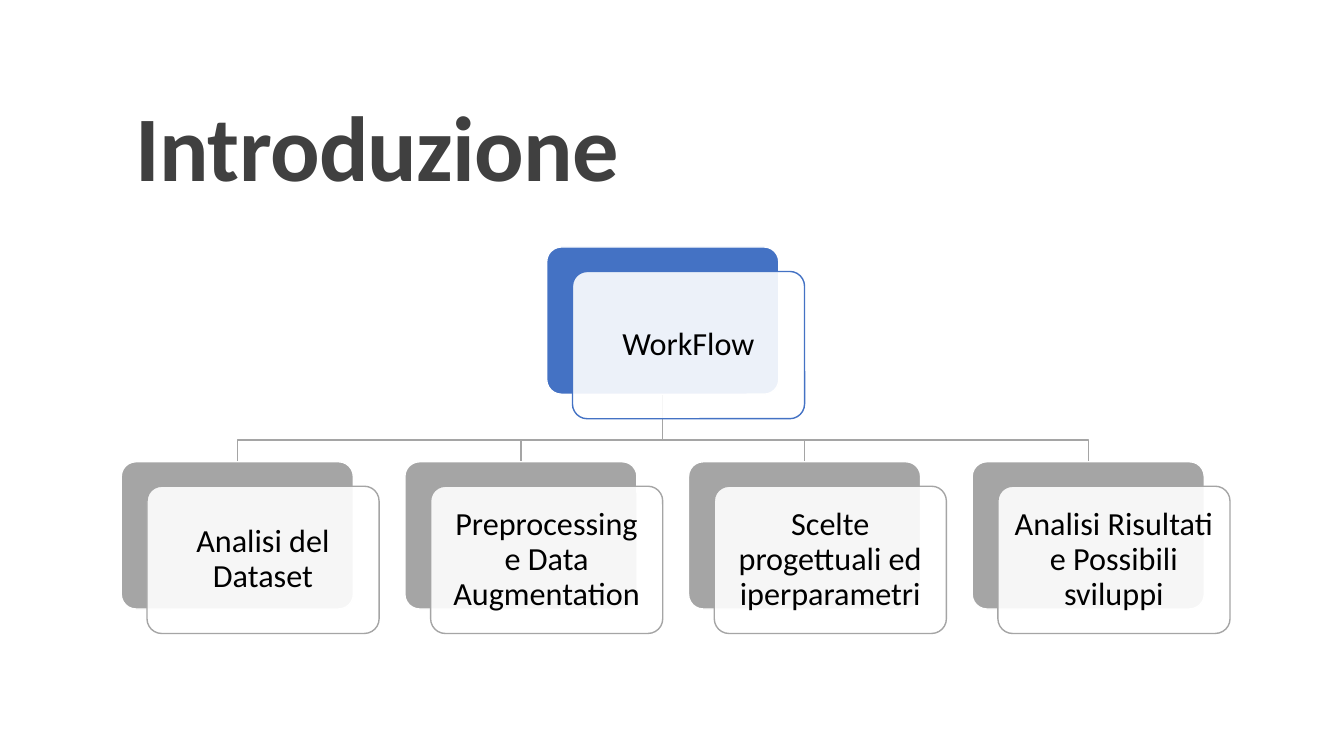
from dataclasses import dataclass

from lxml import etree
from pptx import Presentation
from pptx import util as u
from pptx.dml.color import RGBColor
from pptx.enum import shapes, text
from pptx.oxml.ns import qn


@dataclass(frozen=True)
class Theme:
    """Colours, font and type sizes of the slide."""
    root: str = "4472C4"
    step: str = "A5A5A5"
    paper: str = "FFFFFF"
    heading: str = "404040"
    ink: str = "000000"
    font: str = "Calibri"
    heading_size: int = 66
    card_size: int = 23
    line_width: int = 1


class Board:
    """Draws the elements of the chart on one slide, in points."""

    def __init__(self, slide, theme):
        self.shapes = slide.shapes
        self.theme = theme

    def set_words(self, frame, words, size, color, spacing, bold=False):
        frame.word_wrap = True
        line = frame.paragraphs[0]
        run = line.add_run()
        run.text = words
        line.line_spacing = spacing
        line.font.name = self.theme.font
        line.font.size = u.Pt(size)
        line.font.bold = bold
        line.font.color.rgb = RGBColor.from_string(color)
        return line, run

    def title(self, words, left, top, width, height):
        frame = self.shapes.add_textbox(*map(u.Pt, (left, top, width, height))).text_frame
        frame.vertical_anchor = text.MSO_ANCHOR.BOTTOM
        _, run = self.set_words(frame, words, self.theme.heading_size, self.theme.heading, 0.85, True)
        run._r.get_or_add_rPr().set("spc", "-50")

    def outline(self, shape, color):
        shape.shadow.inherit = False
        shape.line.color.rgb = RGBColor.from_string(color)
        shape.line.width = u.Pt(self.theme.line_width)

    def panel(self, left, top, fill, line):
        panel = self.shapes.add_shape(
            shapes.MSO_SHAPE.ROUNDED_RECTANGLE,
            *map(u.Pt, (left, top, CARD_WIDTH, CARD_HEIGHT)))
        panel.adjustments[0] = 0.1
        panel.fill.solid()
        panel.fill.fore_color.rgb = RGBColor.from_string(fill)
        self.outline(panel, line)
        return panel

    def card(self, words, left, top, color):
        self.panel(left, top, color, self.theme.paper)
        front = self.panel(left + SHIFT_X, top + SHIFT_Y, self.theme.paper, color)
        tint = front._element.spPr.find(qn("a:solidFill"))[0]
        etree.SubElement(tint, qn("a:alpha"), val="90000")
        frame = front.text_frame
        frame.margin_left = frame.margin_right = u.Pt(7)
        frame.margin_top = frame.margin_bottom = u.Pt(7)
        frame.vertical_anchor = text.MSO_ANCHOR.MIDDLE
        label, _ = self.set_words(frame, words, self.theme.card_size, self.theme.ink, 0.9)
        label.alignment = text.PP_ALIGN.CENTER

    def branch(self, *points):
        start, *rest = [(u.Pt(x), u.Pt(y)) for x, y in points]
        builder = self.shapes.build_freeform(*start)
        builder.add_line_segments(rest, close=False)
        branch = builder.convert_to_shape()
        branch.fill.background()
        self.outline(branch, self.theme.step)


CARD_WIDTH, CARD_HEIGHT = 165.8, 105.2
SHIFT_X, SHIFT_Y = 18.4, 17.5
FIRST_LEFT, PITCH = 86.6, 202.6
ROOT_TOP, BEND_Y, STEP_TOP = 176.4, 314.4, 329.8
STEPS = (
    "Analisi del Dataset",
    "Preprocessing e Data Augmentation",
    "Scelte progettuali ed iperparametri",
    "Analisi Risultati e Possibili sviluppi",
)


def main():
    deck = Presentation()
    deck.slide_width, deck.slide_height = u.Pt(960), u.Pt(540)
    theme = Theme()
    board = Board(deck.slides.add_slide(deck.slide_layouts[6]), theme)

    lefts = [FIRST_LEFT + PITCH * i for i in range(len(STEPS))]
    root_left = (lefts[0] + lefts[-1]) / 2
    root_x = root_left + CARD_WIDTH / 2
    for left in reversed(lefts):
        step_x = left + CARD_WIDTH / 2
        board.branch((root_x, ROOT_TOP + CARD_HEIGHT), (root_x, BEND_Y),
                     (step_x, BEND_Y), (step_x, STEP_TOP))

    board.card("WorkFlow", root_left, ROOT_TOP, theme.root)
    for words, left in zip(STEPS, lefts):
        board.card(words, left, STEP_TOP, theme.step)
    board.title("Introduzione", 90, 70, 470, 77)
    deck.save("out.pptx")


if __name__ == "__main__":
    main()
